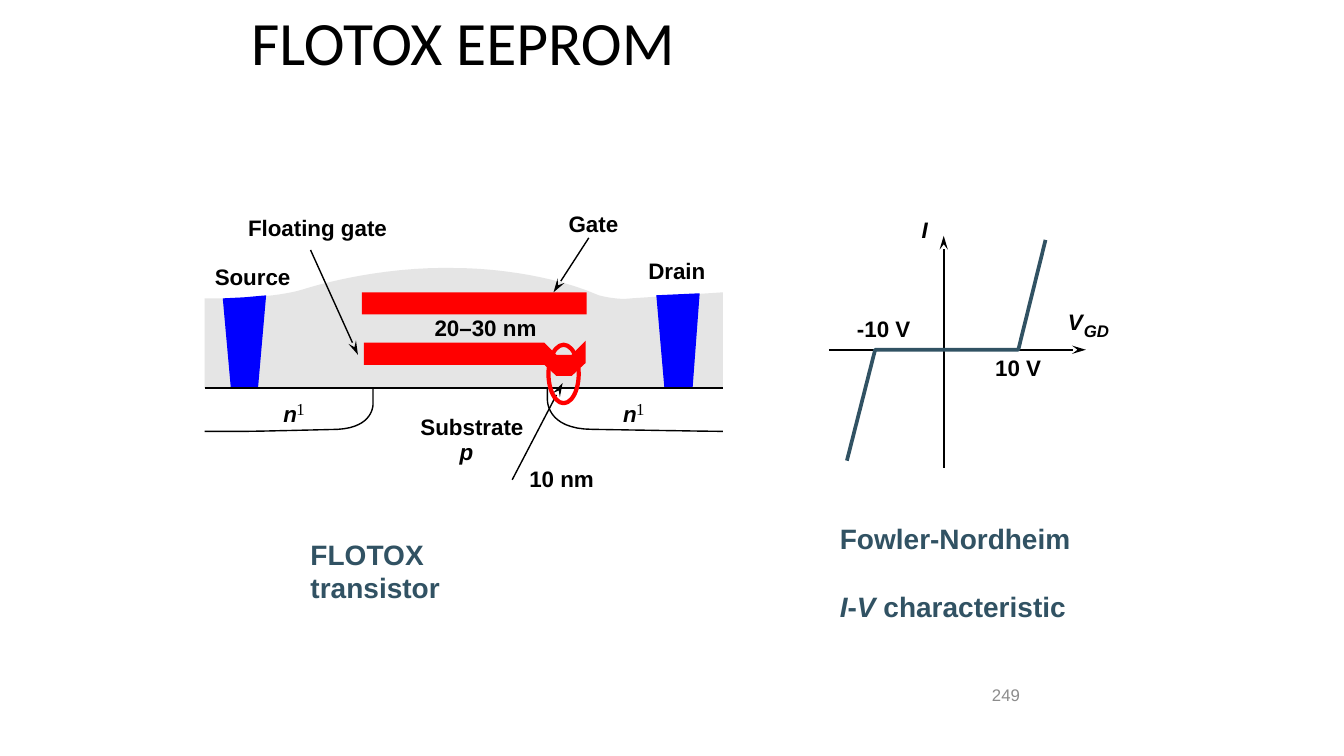
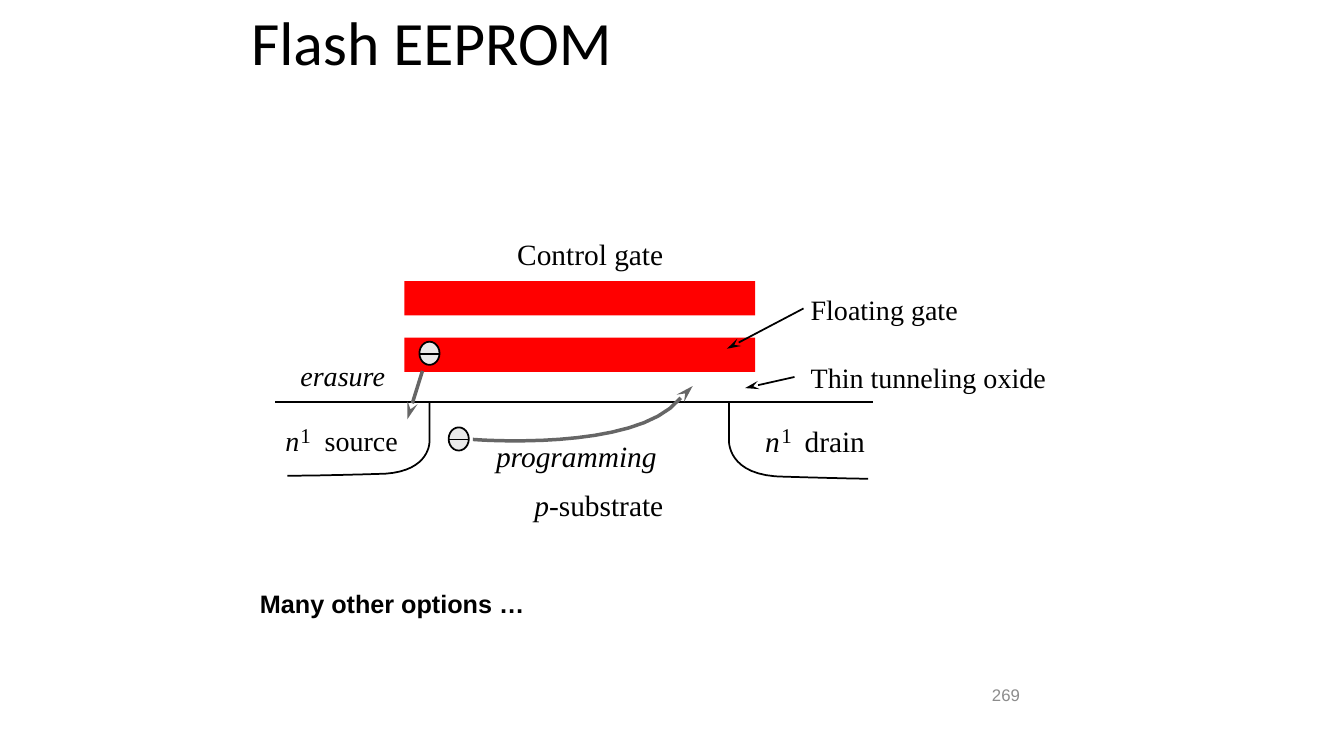
import dataclasses

import pptx
import pptx.dml.color
import pptx.enum.shapes
import pptx.enum.text
import pptx.oxml.ns
import pptx.util
from lxml import etree

Inches = pptx.util.Inches
Pt = pptx.util.Pt
Shape = pptx.enum.shapes.MSO_SHAPE
Align = pptx.enum.text.PP_ALIGN
Anchor = pptx.enum.text.MSO_ANCHOR
Fit = pptx.enum.text.MSO_AUTO_SIZE
qn = pptx.oxml.ns.qn


@dataclasses.dataclass(frozen=True)
class Type:
    face: str
    size: int
    color: str
    bold: bool = False


@dataclasses.dataclass(frozen=True)
class Theme:
    ink: str = "000000"
    red: str = "FF0000"
    blue: str = "0000FF"
    teal: str = "315263"
    gray: str = "666666"
    oxide: str = "E5E5E5"
    charge: str = "EAEAEA"
    slack: float = 0.1
    title: Type = Type("Calibri", 44, "000000")
    number: Type = Type("Arial", 12, "8C8C8C")
    label: Type = Type("Arial", 16, "000000", True)
    small: Type = Type("Arial", 12, "000000", True)
    index: Type = Type("Times New Roman", 12, "000000")
    legend: Type = Type("Arial", 20, "315263", True)
    note: Type = Type("Arial", 18, "000000", True)
    serif: Type = Type("Times New Roman", 20, "000000")
    large: Type = Type("Times New Roman", 21, "000000")
    power: Type = Type("Times New Roman", 15, "000000")


def tint(code):
    return pptx.dml.color.RGBColor.from_string(code)


def trace(steps, count=16):
    points = [steps[0]]
    for step in steps[1:]:
        if len(step) == 2:
            points.append(step)
            continue
        start, bend, end = points[-1], step[:2], step[2:]
        for i in range(1, count + 1):
            t = i / count
            near = (1 - t) ** 3 + 3 * t * (1 - t) ** 2
            far = 3 * t * t * (1 - t)
            points.append(tuple(near * a + far * b + t ** 3 * c
                                for a, b, c in zip(start, bend, end)))
    return points


class Deck:
    def __init__(self, theme):
        self.theme = theme
        self.show = pptx.Presentation()
        self.show.slide_width = Inches(13.33)
        self.show.slide_height = Inches(7.5)
        self.slide = None

    def page(self, title, number):
        self.slide = self.show.slides.add_slide(self.show.slide_layouts[5])
        box = self.slide.shapes.title
        box.left, box.top = Inches(2.39), Inches(-0.17)
        box.width, box.height = Inches(8.5), Inches(1.25)
        frame = box.text_frame
        frame.text = title
        frame.auto_size = Fit.NONE
        frame.vertical_anchor = Anchor.MIDDLE
        line = frame.paragraphs[0]
        line.alignment = Align.LEFT
        line.line_spacing = 0.9
        self.font(line, self.theme.title)
        self.text(number, 9.74, 6.66, 0.67, self.theme.number, pad=True, high=0.47)

    def font(self, line, kind, slant=None):
        font = line.font
        font.name, font.size, font.bold = kind.face, Pt(kind.size), kind.bold
        font.color.rgb = tint(kind.color)
        font.italic = slant

    def text(self, lines, x, y, wide, kind, slant=None, pad=False,
             high=None, gap=0):
        if isinstance(lines, str):
            lines = [lines]
        tall = high or len(lines) * kind.size / 60 + pad * 0.1
        box = self.slide.shapes.add_textbox(
            Inches(x), Inches(y), Inches(wide + self.theme.slack), Inches(tall))
        frame = box.text_frame
        frame.word_wrap = True
        if high:
            frame.vertical_anchor = Anchor.MIDDLE
        else:
            frame.auto_size = Fit.SHAPE_TO_FIT_TEXT
        if not pad:
            frame.margin_left = frame.margin_right = 0
            frame.margin_top = frame.margin_bottom = 0
        for i, runs in enumerate(lines):
            line = frame.paragraphs[0] if i == 0 else frame.add_paragraph()
            if i:
                line.space_before = Pt(gap)
            line.alignment = Align.LEFT
            self.font(line, kind, slant)
            if isinstance(runs, str):
                line.add_run().text = runs
                continue
            for words, lean in runs:
                run = line.add_run()
                run.text = words
                run.font.italic = lean

    def paint(self, form, fill=None, ink=None, width=1):
        form.shadow.inherit = False
        if fill:
            form.fill.solid()
            form.fill.fore_color.rgb = tint(fill)
        else:
            form.fill.background()
        if ink:
            form.line.color.rgb = tint(ink)
            form.line.width = Pt(width)
        else:
            form.line.fill.background()

    def shape(self, kind, x, y, wide, high, **look):
        form = self.slide.shapes.add_shape(
            kind, Inches(x), Inches(y), Inches(wide), Inches(high))
        self.paint(form, **look)

    def free(self, steps, close=False, head=False, **look):
        points = [(Inches(x), Inches(y)) for x, y in trace(steps)]
        pen = self.slide.shapes.build_freeform(*points[0])
        pen.add_line_segments(points[1:], close=close)
        form = pen.convert_to_shape()
        self.paint(form, **look)
        if head:
            self.head(form)

    def line(self, start, end, width=1, ink=None, head=False):
        x, y, right, low = map(Inches, start + end)
        rule = self.slide.shapes.add_connector(
            pptx.enum.shapes.MSO_CONNECTOR.STRAIGHT, x, y, right, low)
        rule.line.color.rgb = tint(ink or self.theme.ink)
        rule.line.width = Pt(width)
        etree.SubElement(rule.element.spPr, qn("a:effectLst"))
        if head:
            self.head(rule)

    def head(self, form):
        edge = form.element.spPr.find(qn("a:ln"))
        etree.SubElement(edge, qn("a:tailEnd"), type="stealth", w="med", len="lg")

    def doped(self, x, y, kind, power, step):
        self.text("n", x, y, 0.14, kind, slant=True)
        self.text("1", x + step, y - 0.01, 0.08, power)

    def charge(self, x, y):
        look = self.theme
        self.shape(Shape.OVAL, x, y, 0.2, 0.23,
                   fill=look.charge, ink=look.ink, width=1.25)
        self.line((x, y + 0.12), (x + 0.2, y + 0.12), 1.25)


def flotox(deck):
    look = deck.theme
    deck.page("FLOTOX EEPROM", "249")

    deck.free([(5.43, 3.85), (5.43, 3.96), (5.41, 4.26, 5.88, 4.26),
               (7.05, 4.28, 7.17, 4.28)], ink=look.ink)
    deck.free([(6.26, 2.96), (7.17, 2.9), (7.17, 3.85), (2.03, 3.85),
               (2.03, 2.96), (2.21, 2.96), (2.72, 2.96, 3.01, 2.87),
               (3.73, 2.63, 4.57, 2.66), (5.32, 2.66, 5.94, 2.93),
               (6.12, 2.98, 6.26, 2.96)], close=True, fill=look.oxide)
    deck.shape(Shape.RECTANGLE, 3.59, 2.9, 2.23, 0.22, fill=look.red)
    for plug in (
        [(2.29, 3.85), (2.21, 2.96), (2.42, 2.95), (2.64, 2.93), (2.56, 3.85)],
        [(6.87, 3.85), (6.94, 2.91), (6.51, 2.93), (6.59, 3.85)],
    ):
        deck.free(plug, close=True, fill=look.blue)
    deck.free([(3.7, 3.85), (3.7, 4.01), (3.71, 4.24, 3.35, 4.26),
               (2.55, 4.28, 2.42, 4.28), (2.03, 4.28)], ink=look.ink)
    deck.line((2.03, 3.85), (7.17, 3.85))
    deck.free([(5.81, 3.6), (5.67, 3.73), (5.52, 3.73), (5.4, 3.62),
               (3.61, 3.62), (3.61, 3.4), (5.4, 3.4), (5.52, 3.52),
               (5.67, 3.52), (5.81, 3.38)], close=True, fill=look.red)

    for start, tip in (((3.08, 2.48), (3.55, 3.52)),
                       ((5.84, 2.36), (5.49, 2.9)),
                       ((5.08, 4.76), (5.58, 3.8))):
        deck.line(start, tip, head=True)
    for start, tip in (((8.22, 3.47), (10.77, 3.47)),
                       ((9.36, 4.64), (9.36, 2.34))):
        deck.line(start, tip, 1.63, head=True)
    deck.free([(8.4, 4.57), (8.68, 3.47), (10.1, 3.47), (10.37, 2.38)],
              ink=look.teal, width=2.63)

    for words, x, y, wide in (
        ("Floating gate", 2.46, 2.12, 1.38), ("Source", 2.13, 2.61, 0.75),
        ("Substrate", 4.17, 4.1, 1.02), ("Gate", 5.64, 2.08, 0.5),
        ("Drain", 6.43, 2.55, 0.57), ("20–30 nm", 4.31, 3.12, 0.98),
        ("10 nm", 5.25, 4.61, 0.64), ("-10 V", 8.5, 3.13, 0.53),
        ("10 V", 9.87, 3.51, 0.46),
    ):
        deck.text(words, x, y, wide, look.label)
    for words, x, y, wide in (("p", 4.56, 4.35, 0.14), ("I", 9.14, 2.14, 0.06),
                              ("V", 10.59, 3.06, 0.15)):
        deck.text(words, x, y, wide, look.label, slant=True)
    deck.text("GD", 10.75, 3.18, 0.25, look.small, slant=True)
    for x in (2.81, 6.18):
        deck.doped(x, 3.97, look.label, look.index, 0.13)

    deck.text("FLOTOX transistor", 3.08, 5.33, 1.5, look.legend)
    deck.text(["Fowler-Nordheim",
               [("I", True), ("-", False), ("V", True), (" characteristic", False)]],
              8.33, 5.17, 2.36, look.legend, gap=25)
    deck.shape(Shape.OVAL, 5.44, 3.42, 0.3, 0.58, ink=look.red, width=3)


def flash(deck):
    look = deck.theme
    deck.page("Flash EEPROM", "269")

    for y in (2.79, 3.35):
        deck.shape(Shape.RECTANGLE, 4.01, y, 3.48, 0.34, fill=look.red)
    for well in (
        [(7.23, 3.99), (7.23, 4.36), (7.2, 4.73, 7.79, 4.73),
         (8.47, 4.75, 8.61, 4.75)],
        [(4.26, 3.99), (4.26, 4.38), (4.27, 4.67, 3.82, 4.7),
         (3.2, 4.72, 2.85, 4.72)],
    ):
        deck.free(well, ink=look.ink, width=1.25)
    deck.line((2.73, 3.99), (8.66, 3.99), 1.25)

    for words, x, y, wide, kind, slant in (
        ("Control gate", 5.13, 2.34, 1.47, look.large, False),
        ("erasure", 2.98, 3.56, 0.86, look.serif, True),
        ("Floating gate", 8.04, 2.9, 1.47, look.serif, False),
        ("Thin tunneling oxide", 8.04, 3.58, 2.35, look.serif, False),
        ("source", 3.22, 4.2, 0.73, look.serif, False),
        ("drain", 7.98, 4.2, 0.61, look.large, False),
        ("programming", 4.92, 4.35, 1.61, look.large, True),
    ):
        deck.text(words, x, y, wide, kind, slant)
    deck.text([[("p-", True), ("substrate", False)]], 5.3, 4.83, 1.3, look.large)
    deck.doped(2.83, 4.2, look.serif, look.power, 0.15)
    deck.doped(7.59, 4.2, look.large, look.power, 0.16)

    deck.charge(4.16, 3.39)
    deck.charge(4.45, 4.24)
    deck.line((7.97, 3.06), (7.21, 3.46), 1.25, head=True)
    deck.line((7.88, 3.74), (7.39, 3.85), 1.25, head=True)
    deck.line((4.19, 3.68), (4.04, 4.16), 2.5, look.gray, head=True)
    deck.free([(4.69, 4.36), (6.3, 4.49, 6.74, 3.96), (6.87, 3.83)],
              head=True, ink=look.gray, width=2.5)
    deck.text("Many other options …", 2.48, 5.79, 2.85, look.note, pad=True)


def main():
    deck = Deck(Theme())
    flotox(deck)
    flash(deck)
    deck.show.save("out.pptx")


if __name__ == "__main__":
    main()
